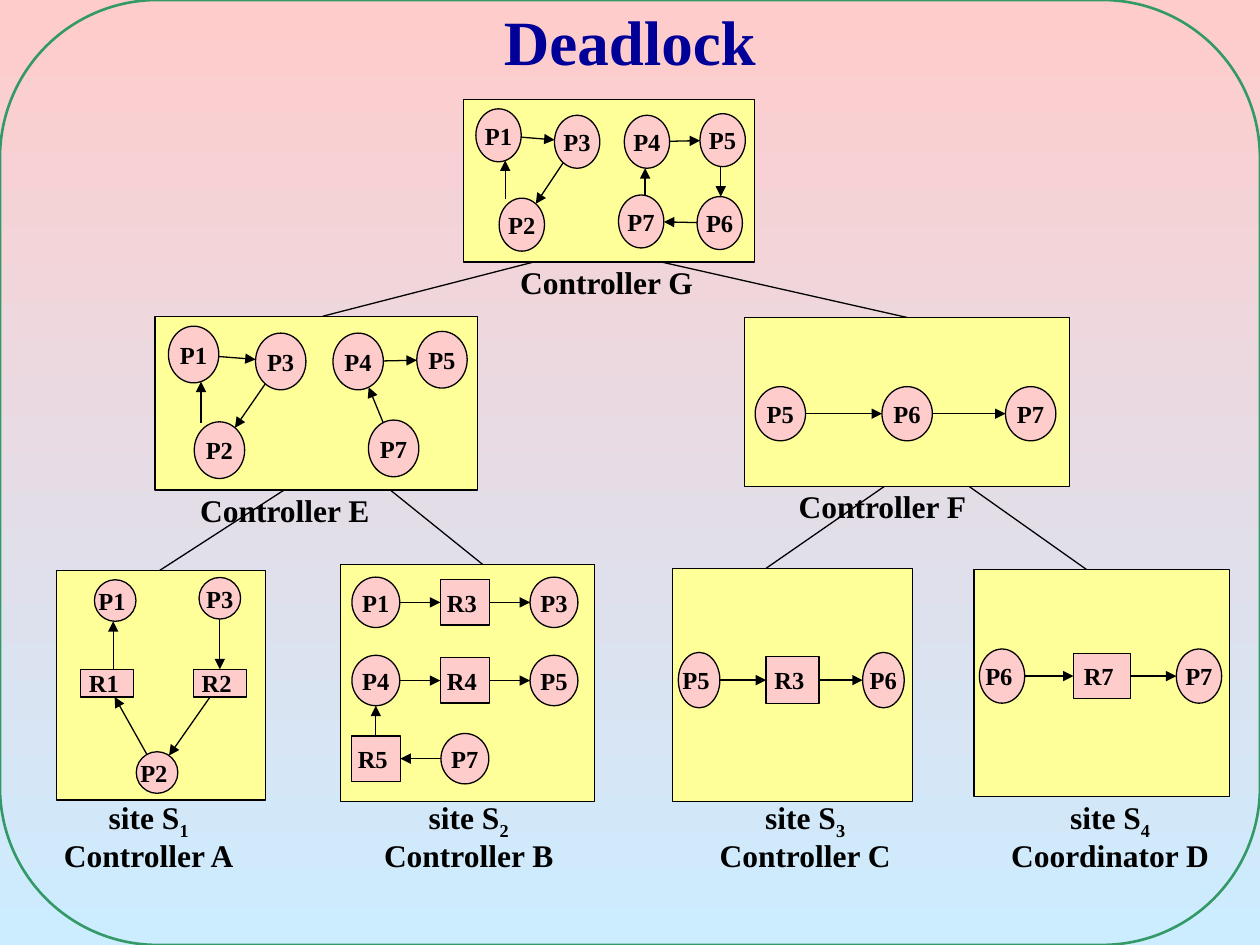
from dataclasses import dataclass
from math import hypot
from typing import NamedTuple

from lxml import etree
from pptx import Presentation
from pptx.dml.color import RGBColor
from pptx.enum.shapes import MSO_CONNECTOR, MSO_SHAPE
from pptx.enum.text import MSO_ANCHOR, PP_ALIGN
from pptx.oxml.ns import qn
from pptx.util import Cm, Pt

RECTANGLE, ELLIPSE = MSO_SHAPE.RECTANGLE, MSO_SHAPE.OVAL
ROUNDED, STRAIGHT = MSO_SHAPE.ROUNDED_RECTANGLE, MSO_CONNECTOR.STRAIGHT
LEFT, CENTER = PP_ALIGN.LEFT, PP_ALIGN.CENTER
TOP, MIDDLE, BOTTOM = MSO_ANCHOR.TOP, MSO_ANCHOR.MIDDLE, MSO_ANCHOR.BOTTOM
FONT = "Times New Roman"
BLACK, YELLOW, PINK = "000000", "FFFF99", "FFCCCC"
SKY, GREEN, NAVY = "CCECFF", "339966", "000099"
CM_PER_INCH = 2.54
SITE_CAPTION_TOP = 6.36
STRAIGHTEN_LIMIT = 0.1

Point = tuple[float, float]


class Box(NamedTuple):
    left: float
    top: float
    width: float
    height: float

    def at(self, across: float, down: float) -> Point:
        return self.left + across * self.width, self.top + down * self.height


@dataclass
class Panel:
    name: str
    frame: Box
    process_size: Point
    nodes: dict[str, Point]
    links: str
    caption_left: float
    site: str = ""
    resource_size: Point = (0, 0)


def chain(labels: list[str], down: float) -> dict[str, Point]:
    return {label: (across, down) for label, across in zip(labels, (0.11, 0.5, 0.88))}


def grid(rows: list[list[str]]) -> dict[str, Point]:
    return {label: (0.14 + 0.35 * column, 0.16 + 0.33 * row)
            for row, labels in enumerate(rows) for column, label in enumerate(labels)}


CYCLE = {"P1": (0.12, 0.22), "P2": (0.2, 0.77), "P3": (0.39, 0.26),
         "P4": (0.63, 0.26), "P5": (0.89, 0.25)}
CYCLE_LINKS = "P1-P3 P3-P2 P2-P1 P4-P5 P7-P4"
PANELS = [
    Panel("Controller A", Box(0.45, 4.53, 1.66, 1.82), (0.33, 0.33),
          {"P1 ": (0.28, 0.13), "P3": (0.78, 0.12), "P2 ": (0.48, 0.88),
           "R1 ": (0.24, 0.49), "R2 ": (0.78, 0.49)},
          "R1-P1 P3-R2 R2-P2 P2-R1", 0.27, "1", (0.42, 0.22)),
    Panel("Controller B", Box(2.7, 4.48, 2.02, 1.88), (0.38, 0.4),
          grid([["P1", "R3 ", "P3"], ["P4", "R4 ", "P5"], ["R5 ", "P7"]]),
          "P1-R3 R3-P3 P4-R4 R4-P5 P7-R5 R5-P4", 2.81, "2", (0.39, 0.36)),
    Panel("Controller C", Box(5.34, 4.51, 1.9, 1.85), (0.33, 0.44),
          chain(["P5 ", "R3 ", "P6"], 0.48), "P5-R3 R3-P6", 5.48, "3", (0.42, 0.37)),
    Panel("Coordinator D", Box(7.73, 4.52, 2.03, 1.8), (0.36, 0.43),
          chain(["P6 ", "R7 ", "P7"], 0.47), "P6-R7 R7-P7", 7.9, "4", (0.45, 0.36)),
    Panel("Controller G", Box(3.68, 0.79, 2.31, 1.29), (0.36, 0.42),
          CYCLE | {"P7": (0.61, 0.75), "P6": (0.88, 0.76)},
          CYCLE_LINKS + " P5-P6 P6-P7", 4.03),
    Panel("Controller E", Box(1.23, 2.51, 2.56, 1.38), (0.4, 0.45),
          CYCLE | {"P7": (0.74, 0.76)}, CYCLE_LINKS, 1.49),
    Panel("Controller F", Box(5.91, 2.52, 2.58, 1.34), (0.4, 0.43),
          chain(["P5", "P6", "P7"], 0.57), "P5-P6 P6-P7", 6.24),
]
BRANCHES = [("E", 0.4, "A", 0.49), ("E", 0.73, "B", 0.56), ("F", 0.43, "C", 0.39),
            ("F", 0.69, "D", 0.44), ("G", 0.24, "E", 0.52), ("G", 0.68, "F", 0.5)]


def lengths(*inches: float) -> list[Cm]:
    return [Cm(value * CM_PER_INCH) for value in inches]


def color(value: str) -> RGBColor:
    return RGBColor.from_string(value)


def write_text(shape, text: str, *, size: float = 18, font_color: str = BLACK,
               align=LEFT, anchor=TOP, wrap: bool = True, subscript: str = "",
               line_spacing: float | None = None, space_before: float = 0) -> None:
    frame = shape.text_frame
    frame.word_wrap = wrap
    frame.vertical_anchor = anchor
    for index, line in enumerate(text.split("\n")):
        paragraph = frame.paragraphs[0] if index == 0 else frame.add_paragraph()
        paragraph.alignment = align
        paragraph.line_spacing = line_spacing
        paragraph.space_before = Pt(space_before)
        pieces = [line, subscript] if subscript and index == 0 else [line]
        for position, piece in enumerate(pieces):
            run = paragraph.add_run()
            run.text = piece
            run.font.name = FONT
            run.font.size = Pt(size)
            run.font.bold = True
            run.font.color.rgb = color(font_color)
            if position:
                run.font._element.set("baseline", "-25000")


def add_box(shapes, kind, box: Box, fill: str | None,
            line: str = BLACK, width: float = 0.75):
    shape = shapes.add_shape(kind, *lengths(*box))
    shape.shadow.inherit = False
    if fill:
        shape.fill.solid()
        shape.fill.fore_color.rgb = color(fill)
    else:
        shape.fill.background()
    shape.line.color.rgb = color(line)
    shape.line.width = Pt(width)
    return shape


def add_line(shapes, start: Point, end: Point, arrow: bool = False) -> None:
    connector = shapes.add_connector(STRAIGHT, *lengths(*start, *end))
    connector.line.color.rgb = color(BLACK)
    connector.line.width = Pt(0.75)
    properties = connector._element.spPr
    if arrow:
        outline = properties.find(qn("a:ln"))
        etree.SubElement(outline, qn("a:tailEnd"), type="triangle")
    etree.SubElement(properties, qn("a:effectLst"))


def edge_point(label: str, box: Box, toward: Point) -> Point:
    x, y = box.at(0.5, 0.5)
    dx, dy = toward[0] - x, toward[1] - y
    across, down = 2 * dx / box.width, 2 * dy / box.height
    reach = hypot(across, down) if label.startswith("P") else max(abs(across), abs(down))
    return x + dx / reach, y + dy / reach


def add_link(shapes, boxes: dict[str, Box], link: str) -> None:
    source, target = link.split("-")
    start = edge_point(source, boxes[source], boxes[target].at(0.5, 0.5))
    end = edge_point(target, boxes[target], boxes[source].at(0.5, 0.5))
    if abs(start[0] - end[0]) < STRAIGHTEN_LIMIT:
        start = end[0], start[1]
    add_line(shapes, start, end, arrow=True)


def add_panel(slide, panel: Panel) -> None:
    shapes = slide.shapes.add_group_shape().shapes
    add_box(shapes, RECTANGLE, panel.frame, YELLOW)
    boxes = {}
    for label, place in panel.nodes.items():
        is_process = label.startswith("P")
        width, height = panel.process_size if is_process else panel.resource_size
        x, y = panel.frame.at(*place)
        box = Box(x - width / 2, y - height / 2, width, height)
        boxes[label.strip()] = box
        shape = add_box(shapes, ELLIPSE if is_process else RECTANGLE, box, PINK)
        write_text(shape, label, size=14, align=CENTER, anchor=MIDDLE, wrap=False)
    for link in panel.links.split():
        add_link(shapes, boxes, link)
    if panel.site:
        caption = shapes.add_textbox(*lengths(panel.caption_left, SITE_CAPTION_TOP, 1.82, 0.6))
        write_text(caption, f"site S\n{panel.name}", subscript=panel.site,
                   align=CENTER, line_spacing=0.65, space_before=7)
    else:
        bottom = panel.frame.at(0, 1)[1]
        caption = shapes.add_textbox(*lengths(panel.caption_left, bottom - 0.04, 2, 0.4))
        write_text(caption, panel.name)


presentation = Presentation()
presentation.slide_width, presentation.slide_height = lengths(10, 7.5)
slide = presentation.slides.add_slide(presentation.slide_layouts[6])
background = slide.background.fill
background.gradient()
background.gradient_angle = 270
for stop, shade in zip(background.gradient_stops, (PINK, SKY)):
    stop.color.rgb = color(shade)

border = add_box(slide.shapes, ROUNDED, Box(0, 0, 10, 7.5), None, GREEN, 1.5)
border.adjustments[0] = 0.167
frames = {panel.name[-1]: panel.frame for panel in PANELS}
for parent, parent_across, child, child_across in BRANCHES:
    add_line(slide.shapes, frames[parent].at(parent_across, 1),
             frames[child].at(child_across, 0))
title = slide.shapes.add_textbox(*lengths(0, 0, 10, 0.67))
write_text(title, "Deadlock", size=36, font_color=NAVY, align=CENTER, anchor=BOTTOM)
for panel in PANELS:
    add_panel(slide, panel)

presentation.save("out.pptx")
